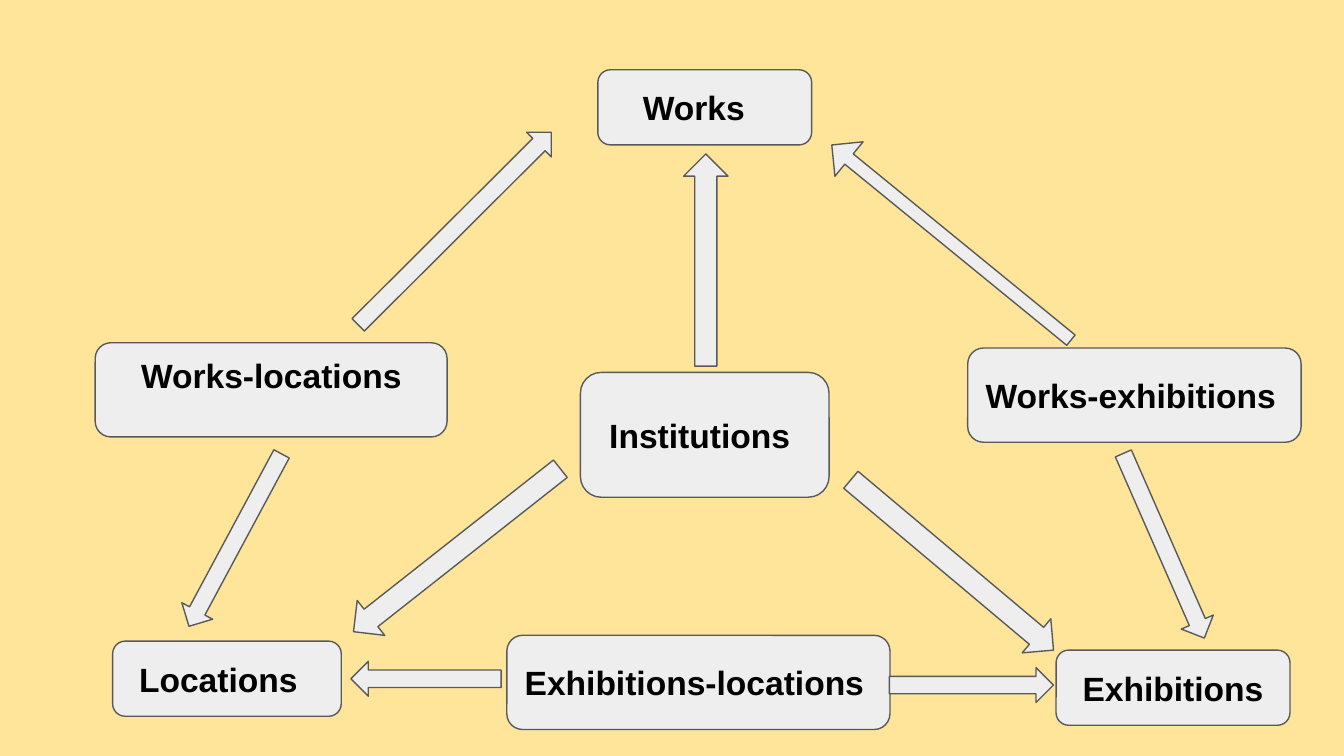
from math import atan2, degrees, hypot

from pptx import Presentation
from pptx.dml.color import RGBColor
from pptx.enum.shapes import MSO_SHAPE
from pptx.enum.text import MSO_ANCHOR, PP_ALIGN
from pptx.util import Cm, Pt

INK, GREY, EDGE, SAND = "000000", "EEEEEE", "595959", "FFE599"
FONT = {"name": "Arial", "size": Pt(18), "bold": True}
PAD = 0.25
WIDE, SLIM = 0.84, 0.66

# Name, box (left, top, width, height), extra left inset, extra bottom inset
TABLES = [
    ("Works", (11.3, 1.32, 4.04, 1.42), 0.53, 0),
    ("Works-locations", (1.8, 6.48, 6.65, 1.78), 0.53, 0.57),
    ("Works-exhibitions", (18.29, 6.58, 6.3, 1.78), 0, 0),
    ("Institutions", (10.97, 7.04, 4.7, 2.36), 0.18, 0),
    ("Locations", (2.13, 12.12, 4.32, 1.42), 0.18, 0),
    ("Exhibitions-locations", (9.58, 12.01, 7.24, 1.78), 0, 0),
    ("Exhibitions", (19.96, 12.29, 4.42, 1.42), 0.18, 0),
]

# Tail, tip, thickness, shaft share
LINKS = [
    ((13.34, 6.92), (13.34, 2.91), WIDE, 0.5),    # Institutions to Works
    ((10.59, 8.86), (6.68, 11.94), WIDE, 0.5),    # Institutions to Locations
    ((16.08, 9.07), (19.91, 12.29), WIDE, 0.5),   # Institutions to Exhibitions
    ((6.77, 6.14), (10.42, 2.5), SLIM, 0.5),      # Works-locations to Works
    ((5.32, 8.58), (3.57, 11.84), SLIM, 0.5),     # Works-locations to Locations
    ((20.24, 6.43), (15.72, 2.74), WIDE, 0.3),    # Works-exhibitions to Works
    ((21.23, 8.57), (22.76, 12.06), SLIM, 0.5),   # Works-exhibitions to Exhibitions
    ((9.47, 12.83), (6.63, 12.83), SLIM, 0.5),    # Exhibitions-locations to Locations
    ((16.81, 12.95), (19.91, 12.95), SLIM, 0.5),  # Exhibitions-locations to Exhibitions
]


def paint(fmt, tone):
    fmt.solid()
    fmt.fore_color.rgb = RGBColor.from_string(tone)


def style(part, form):
    for key, val in form.items():
        setattr(part, key, val)


def add_form(slide, kind, box):
    form = slide.shapes.add_shape(kind, *map(Cm, box))
    form.shadow.inherit = False
    paint(form.fill, GREY)
    paint(form.line.fill, EDGE)
    form.line.width = Pt(0.75)
    return form


def add_node(slide, name, box, left, low):
    node = add_form(slide, MSO_SHAPE.ROUNDED_RECTANGLE, box)
    frame = node.text_frame
    style(frame, {
        "word_wrap": True,
        "vertical_anchor": MSO_ANCHOR.MIDDLE,
        "margin_left": Cm(PAD + left),
        "margin_right": Cm(PAD),
        "margin_top": Cm(PAD),
        "margin_bottom": Cm(PAD + low),
    })
    para = frame.paragraphs[0]
    para.alignment = PP_ALIGN.LEFT
    run = para.add_run()
    run.text = name
    style(run.font, FONT)
    paint(run.font.fill, INK)


def add_link(slide, tail, tip, thick, shaft):
    # A level arrow about the midpoint, turned towards the tip
    (x1, y1), (x2, y2) = tail, tip
    span = hypot(x2 - x1, y2 - y1)
    box = ((x1 + x2 - span) / 2, (y1 + y2 - thick) / 2, span, thick)
    link = add_form(slide, MSO_SHAPE.RIGHT_ARROW, box)
    link.adjustments[0] = shaft
    link.rotation = degrees(atan2(y2 - y1, x2 - x1)) % 360


def main():
    deck = Presentation()
    style(deck, {"slide_width": Cm(25.4), "slide_height": Cm(14.29)})
    slide = deck.slides.add_slide(deck.slide_layouts[6])
    paint(slide.background.fill, SAND)
    # Table boxes
    for item in TABLES:
        add_node(slide, *item)
    # Arrows between them
    for item in LINKS:
        add_link(slide, *item)
    deck.save("out.pptx")


if __name__ == "__main__":
    main()
